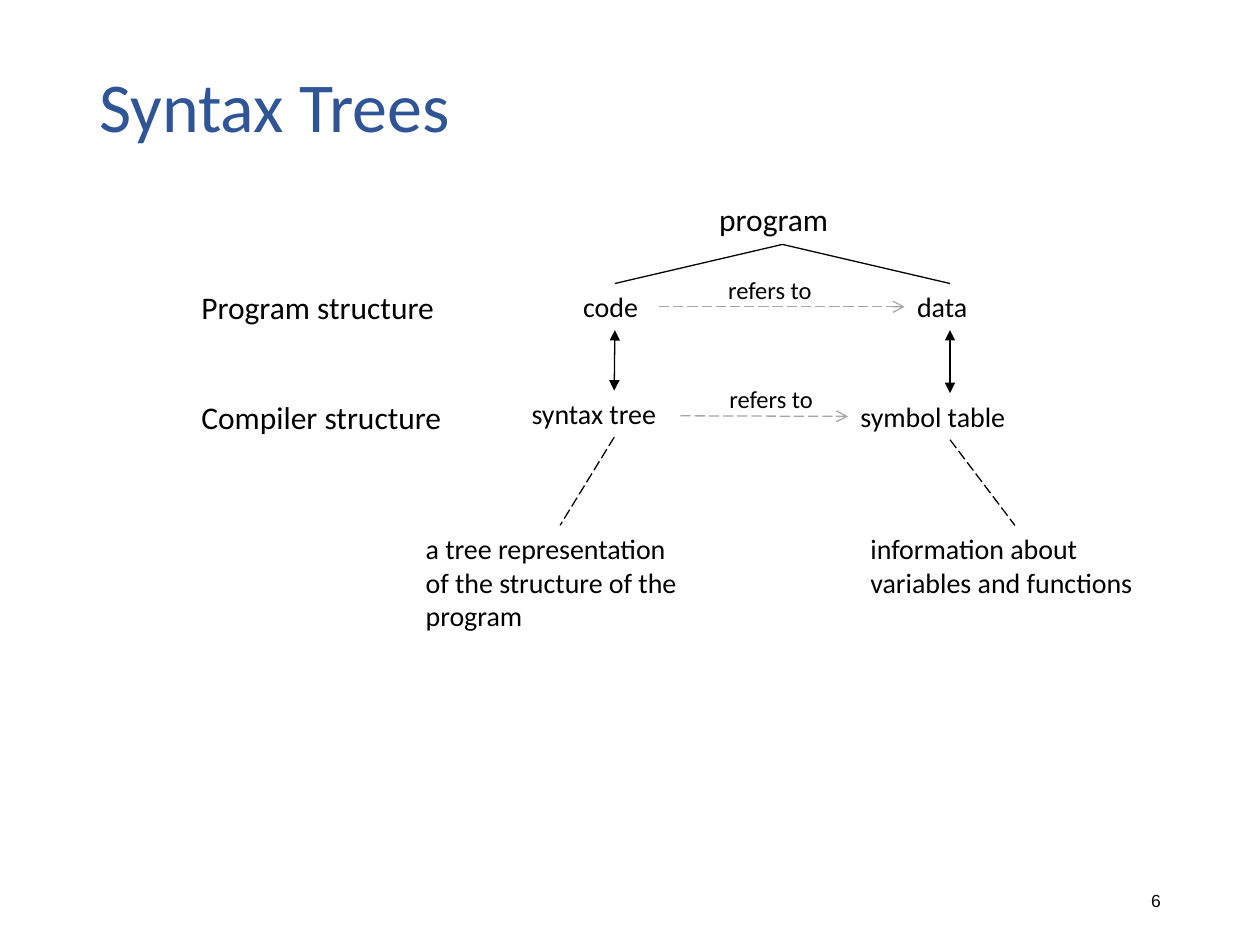
from pptx import Presentation
from pptx.dml.color import RGBColor as RGB
from pptx.enum.dml import MSO_LINE as Dash
from pptx.enum.shapes import MSO_CONNECTOR as Conn
from pptx.enum.text import MSO_ANCHOR as Anchor, MSO_AUTO_SIZE as Auto, PP_ALIGN as Align
from pptx.oxml.ns import qn
from pptx.util import Inches, Pt
from lxml.etree import SubElement as Sub

THEME = {
    "font": "Calibri", "num font": "Arial",
    "ink": RGB(0, 0, 0), "title": RGB(0x2F, 0x55, 0x97), "gray": RGB(0xA6, 0xA6, 0xA6),
    "head": 40, "large": 18, "node": 16, "small": 14, "num": 10, "line": 0.75,
}
TOP, LEFT, BOTTOM, RIGHT = range(4)

# Labels: key, lines, size, wrap, (left, top, width, height)
LABELS = [
    ("program", ["program"], "large", True, (5.61, 1.54, 1.2, 0.4)),
    ("code", ["code"], "node", True, (4.53, 2.25, 0.7, 0.37)),
    ("data", ["data"], "node", True, (7.18, 2.25, 0.72, 0.37)),
    ("tree", ["syntax tree"], "node", True, (4.12, 3.1, 1.51, 0.37)),
    ("table", ["symbol table"], "node", True, (6.73, 3.12, 1.62, 0.37)),
    ("row 1", ["Program structure"], "large", False, (1.5, 2.24, 2.22, 0.4)),
    ("row 2", ["Compiler structure"], "large", False, (1.5, 3.11, 2.26, 0.4)),
    ("refers 1", ["refers to"], "small", False, (5.68, 2.13, 0.92, 0.34)),
    ("refers 2", ["refers to"], "small", False, (5.69, 3, 0.92, 0.34)),
    ("tree note", ["a tree representation", "of the structure of the", "program"],
     "node", False, (3.28, 4.17, 2.33, 0.91)),
    ("table note", ["information about", "variables and functions"],
     "node", False, (6.81, 4.17, 2.49, 0.64)),
]

# Line styles: colour, dashed, head, tail
STYLES = {
    "branch": ("ink", False, None, None),
    "match": ("ink", False, "triangle", "triangle"),
    "refer": ("gray", True, None, "arrow"),
    "note": ("ink", True, None, None),
}

# Links: style, start, end; an end is (label, side) or a free point (x, y)
LINKS = [
    ("branch", ("program", BOTTOM), ("code", TOP)),
    ("branch", ("program", BOTTOM), ("data", TOP)),
    ("match", ("code", BOTTOM), ("tree", TOP)),
    ("match", ("data", BOTTOM), ("table", TOP)),
    ("refer", ("code", RIGHT), ("data", LEFT)),
    ("refer", (5.4, 3.3), ("table", LEFT)),
    ("note", ("tree", BOTTOM), ("tree note", TOP)),
    ("note", ("table", BOTTOM), ("table note", TOP)),
]


def add_text(slide, lines, size, place, wrap=True, font="font", color="ink"):
    box = slide.shapes.add_textbox(*map(Inches, place))
    frame = box.text_frame
    frame.word_wrap = wrap
    frame.text = "\n".join(lines)
    for para in frame.paragraphs:
        para.font.name = THEME[font]
        para.font.size = Pt(THEME[size])
        para.font.color.rgb = THEME[color]
    return box


def add_link(slide, boxes, style, start, end):
    color, dashed, head, tail = STYLES[style]
    link = slide.shapes.add_connector(Conn.STRAIGHT, 0, 0, 0, 0)
    if start[0] in boxes:
        link.begin_connect(boxes[start[0]], start[1])
    else:
        link.begin_x, link.begin_y = map(Inches, start)
    link.end_connect(boxes[end[0]], end[1])
    link.line.color.rgb = THEME[color]
    link.line.width = Pt(THEME["line"])
    if dashed:
        link.line.dash_style = Dash.LONG_DASH
    props = link._element.spPr
    for tag, kind in (("a:headEnd", head), ("a:tailEnd", tail)):
        if kind:
            Sub(props.find(qn("a:ln")), qn(tag), type=kind)
    Sub(props, qn("a:effectLst"))


def main():
    deck = Presentation()
    deck.slide_width, deck.slide_height = Inches(10), Inches(7.5)
    slide = deck.slides.add_slide(deck.slide_layouts[6])

    # Title and page number
    title = add_text(slide, ["Syntax Trees"], "head", (0.69, 0.4, 9, 0.95), color="title")
    title.text_frame.paragraphs[0].line_spacing = 0.9
    num = add_text(slide, ["6"], "num", (7.06, 6.95, 2.25, 0.4), font="num font")
    num.text_frame.paragraphs[0].alignment = Align.RIGHT
    for box in (title, num):
        box.text_frame.vertical_anchor = Anchor.MIDDLE

    # Tree labels and notes
    boxes = {}
    for key, lines, size, wrap, place in LABELS:
        boxes[key] = add_text(slide, lines, size, place, wrap)
        boxes[key].text_frame.auto_size = Auto.SHAPE_TO_FIT_TEXT

    # Links between labels
    for link in LINKS:
        add_link(slide, boxes, *link)

    deck.save("out.pptx")


if __name__ == "__main__":
    main()
